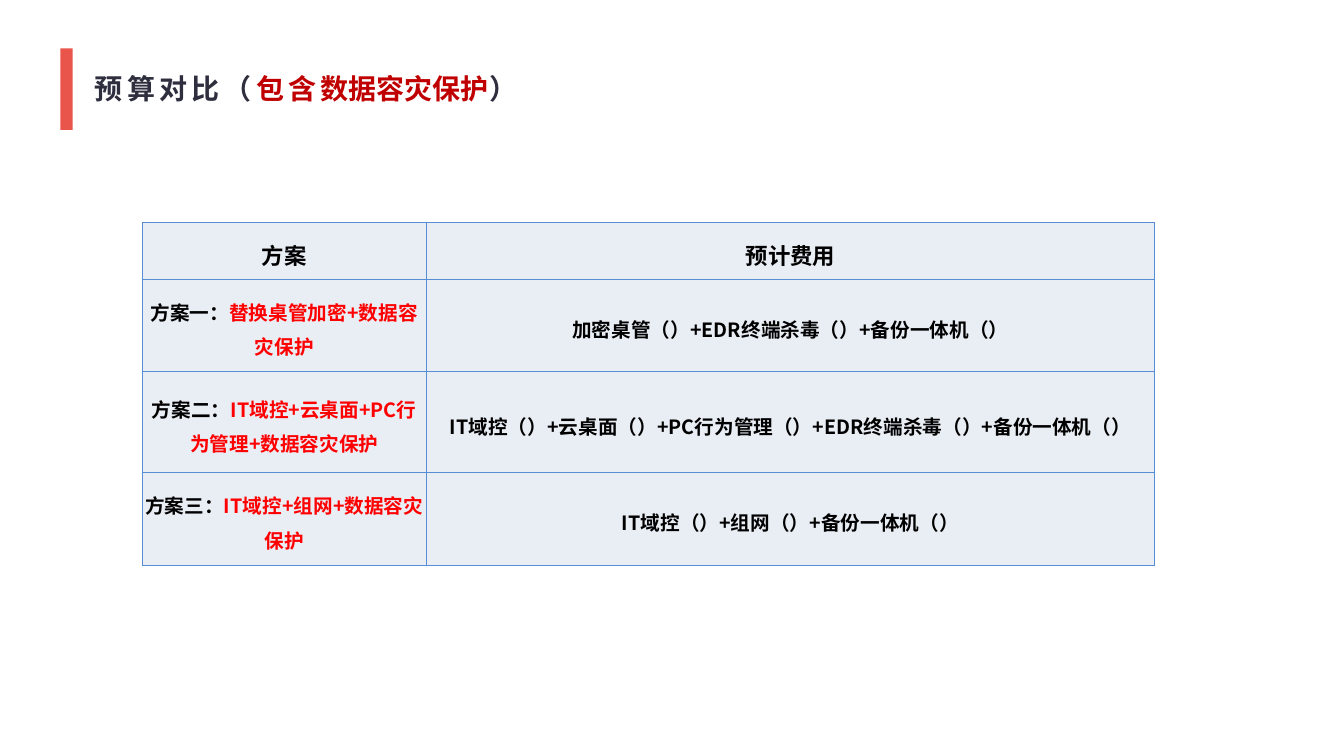
from lxml import etree
from pptx import Presentation
from pptx import util as u
from pptx.dml.color import RGBColor
from pptx.enum import shapes, text
from pptx.oxml.ns import qn

PX = 9144
HUES = {"bar": "E9554A", "ink": "2E2E3F", "deep": "C00000", "black": "000000",
        "red": "FF0000", "cell": "E9EDF4", "edge": "558ED5"}
SANS, HEAD = "Noto Sans CJK SC", "Quicksand"


def hue(name):
    return RGBColor.from_string(HUES[name])


class Deck:
    """Holds the style and the current slide."""

    def __init__(self, wide, high):
        self.prs = Presentation()
        self.prs.slide_width, self.prs.slide_height = wide * PX, high * PX
        self.slide = self.prs.slides.add_slide(self.prs.slide_layouts[5])

    def run(self, para, words, size, color, face=SANS, gap=0):
        run = para.add_run()
        run.text = words
        font = run.font
        font.size, font.bold, font.name = u.Pt(size), True, face
        font.color.rgb = hue(color)
        props = run._r.get_or_add_rPr()
        props.set("spc", str(gap * 100))
        etree.SubElement(props, qn("a:ea")).set("typeface", face)

    def bar(self, *box):
        bar = self.slide.shapes.add_shape(shapes.MSO_SHAPE.RECTANGLE, *(n * PX for n in box))
        bar.shadow.inherit = False
        bar.fill.solid()
        bar.fill.fore_color.rgb = hue("bar")
        bar.line.fill.background()

    def title(self, box, runs):
        title = self.slide.shapes.title
        title.left, title.top, title.width, title.height = (n * PX for n in box)
        frame = title.text_frame
        frame.word_wrap = True
        frame.auto_size = text.MSO_AUTO_SIZE.SHAPE_TO_FIT_TEXT
        frame.vertical_anchor = text.MSO_ANCHOR.TOP
        para = frame.paragraphs[0]
        para.alignment = text.PP_ALIGN.LEFT
        for words, color, face, gap in runs:
            self.run(para, words, 20, color, face, gap)

    def edge(self, cell):
        props = cell._tc.get_or_add_tcPr()
        for spot, side in enumerate(("lnL", "lnR", "lnT", "lnB")):
            line = etree.Element(qn("a:" + side), w=str(u.Pt(1)))
            fill = etree.SubElement(line, qn("a:solidFill"))
            etree.SubElement(fill, qn("a:srgbClr")).set("val", HUES["edge"])
            props.insert(spot, line)

    def cell(self, cell, runs, size):
        cell.fill.solid()
        cell.fill.fore_color.rgb = hue("cell")
        self.edge(cell)
        cell.margin_left = cell.margin_right = cell.margin_top = PX
        cell.margin_bottom = 0
        cell.vertical_anchor = text.MSO_ANCHOR.MIDDLE
        para = cell.text_frame.paragraphs[0]
        para.alignment, para.line_spacing = text.PP_ALIGN.CENTER, 1.2
        for words, color in runs:
            self.run(para, words, size, color)

    def table(self, left, top, cols, rows, data):
        table = self.slide.shapes.add_table(
            len(rows), len(cols), left * PX, top * PX, sum(cols) * PX, sum(rows) * PX).table
        table.first_row = table.horz_banding = False
        for col, wide in zip(table.columns, cols):
            col.width = wide * PX
        for r, (row, high) in enumerate(zip(table.rows, rows)):
            row.height = high * PX
            for cell, runs in zip(row.cells, data[r]):
                self.cell(cell, runs, 14 if r else 16)


def main():
    plans = [
        ("方案一：", "替换桌管加密+数据容灾保护",
         "加密桌管（）+EDR终端杀毒（）+备份一体机（）"),
        ("方案二：", "IT域控+云桌面+PC行为管理+数据容灾保护",
         "IT域控（）+云桌面（）+PC行为管理（）+EDR终端杀毒（）+备份一体机（）"),
        ("方案三：", "IT域控+组网+数据容灾保护",
         "IT域控（）+组网（）+备份一体机（）"),
    ]
    data = [[[("方案", "black")], [("预计费用", "black")]]]
    data += [[[(name, "black"), (plan, "red")], [(cost, "black")]]
             for name, plan, cost in plans]

    deck = Deck(1333, 750)
    deck.bar(60, 48, 12, 81)
    deck.title((84, 66, 624, 44), [
        ("预算对比（", "ink", HEAD, 3), ("包含", "deep", HEAD, 3),
        ("数据容灾保护", "deep", SANS, 0), ("）", "ink", HEAD, 3)])
    deck.table(141, 221, (282, 722), (56, 92, 100, 92), data)
    deck.prs.save("out.pptx")


if __name__ == "__main__":
    main()
